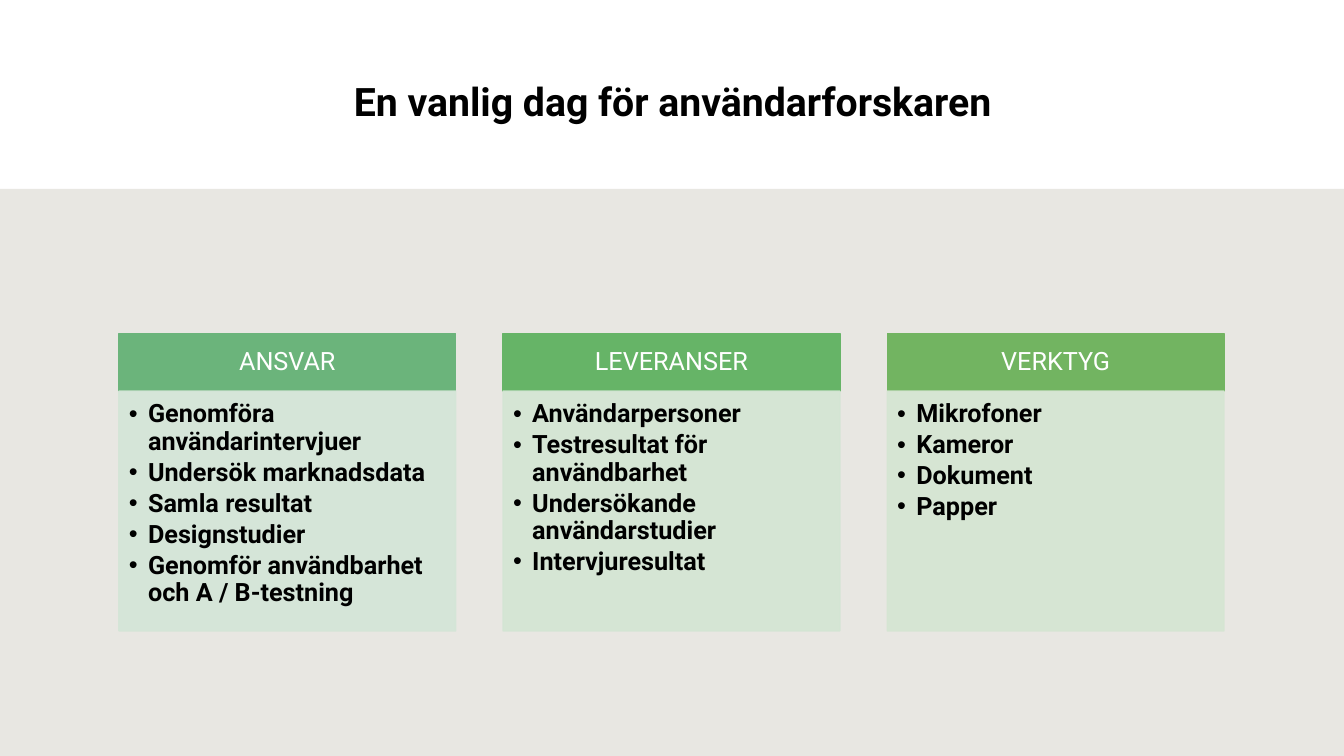
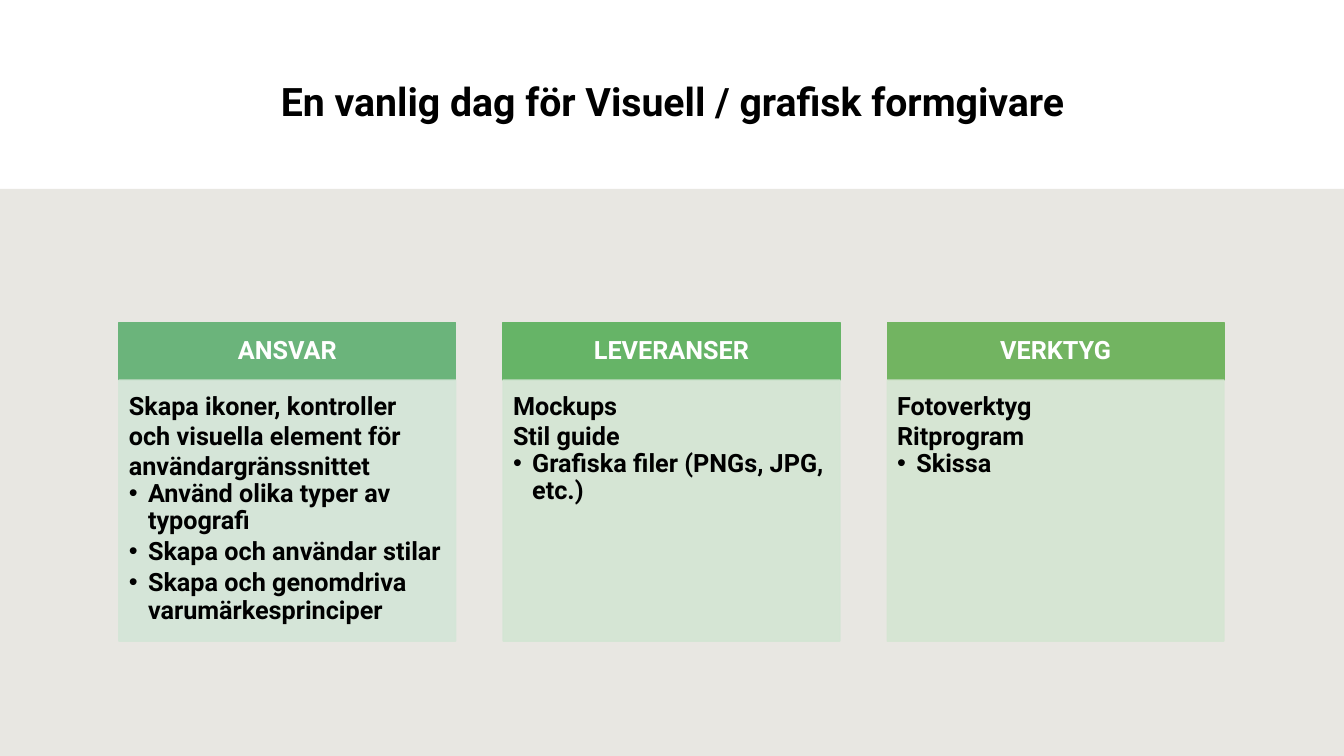
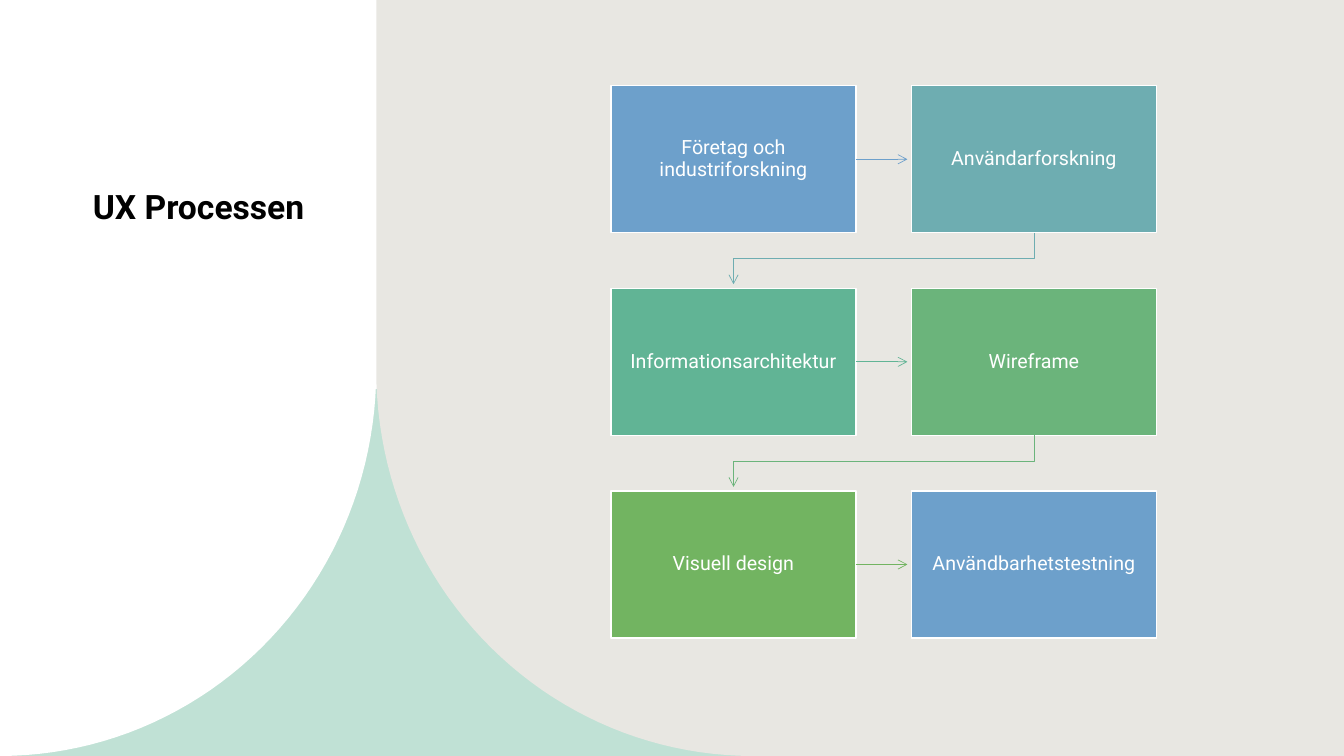
"""Build three slides on everyday UX roles and the UX process."""
import dataclasses
import math

import lxml.etree
import pptx
import pptx.dml.color
import pptx.enum.shapes
import pptx.enum.text
import pptx.oxml.ns
import pptx.util

Inches = pptx.util.Inches
Pt = pptx.util.Pt
Align = pptx.enum.text.PP_ALIGN
Anchor = pptx.enum.text.MSO_ANCHOR
Shape = pptx.enum.shapes.MSO_SHAPE
Link = pptx.enum.shapes.MSO_CONNECTOR


@dataclasses.dataclass(frozen=True)
class Theme:
    """Colours, sizes and fonts shared by the slides."""

    font: str = "Roboto"
    width: float = 13.33
    height: float = 7.5
    ink: str = "000000"
    paper: str = "FFFFFF"
    sand: str = "E8E7E2"
    mint: str = "C0E1D5"
    heads: tuple = ("6BB47B", "66B467", "72B461")
    bodies: tuple = ("D4E5D7", "D3E5D3", "D5E5D2")
    steps: tuple = ("6DA0CB", "6EADB1", "61B495", "6BB47B", "72B461", "6DA0CB")
    title: int = 28
    side_title: int = 24
    card: int = 18
    step: int = 14


@dataclasses.dataclass(frozen=True)
class Grid:
    """Equal cells at a regular pitch, in inches."""

    left: float
    top: float
    width: float
    height: float
    column_pitch: float
    row_pitch: float = 0

    def cell(self, column, row=0):
        """Return left, top, width and height of one cell."""
        return (self.left + column * self.column_pitch,
                self.top + row * self.row_pitch, self.width, self.height)


THEME = Theme()
FLOW = Grid(6.06, 0.85, 2.43, 1.46, 2.98, 2.01)
HEAD_HEIGHT = 0.57
ARROW_GAP = 0.04
BAND_TOP = THEME.height / 4
CURVE_WIDTH = THEME.width * 0.28
CURVE_TOP = THEME.height * 0.49


def colour(value):
    """Turn a hex text into a colour."""
    return pptx.dml.color.RGBColor.from_string(value)


def assign(target, values):
    """Set each named value on an object."""
    for name, value in values.items():
        setattr(target, name, value)


def add_xml(parent, tag, **attributes):
    """Append a drawing element to a parent."""
    return lxml.etree.SubElement(parent, pptx.oxml.ns.qn(tag), attributes)


def paint(shape, fill, line=None, alpha=None):
    """Give a shape a flat fill and an optional outline."""
    shape.shadow.inherit = False
    shape.fill.solid()
    shape.fill.fore_color.rgb = colour(fill)
    if line:
        assign(shape.line, {"width": Pt(1)})
        shape.line.color.rgb = colour(line)
    else:
        shape.line.fill.background()
    if alpha:
        for tone in shape._element.spPr.iter(pptx.oxml.ns.qn("a:srgbClr")):
            add_xml(tone, "a:alpha", val=str(alpha * 1000))


def add_box(page, area, fill, line=None, alpha=None):
    """Add a painted rectangle."""
    box = page.shapes.add_shape(Shape.RECTANGLE, *map(Inches, area))
    paint(box, fill, line, alpha)
    return box


def set_frame(shape, anchor, insets):
    """Set wrapping, anchor and insets, and return the text frame."""
    names = ("margin_left", "margin_top", "margin_right", "margin_bottom")
    frame = shape.text_frame
    assign(frame, {"word_wrap": True, "vertical_anchor": anchor,
                   "auto_size": pptx.enum.text.MSO_AUTO_SIZE.NONE,
                   **dict(zip(names, map(Inches, insets)))})
    return frame


def write(para, text, size, tone, bold=False, **layout):
    """Write one formatted span into a paragraph."""
    assign(para, {"space_before": Pt(0), **layout})
    span = para.add_run()
    span.text = text
    assign(span.font, {"name": THEME.font, "size": Pt(size), "bold": bold})
    span.font.color.rgb = colour(tone)


def add_bullet(para):
    """Give a paragraph a round bullet and a hanging indent."""
    properties = para._p.get_or_add_pPr()
    indent = Inches(0.19)
    properties.set("marL", str(indent))
    properties.set("indent", str(-indent))
    add_xml(properties, "a:buFont", typeface="Arial")
    add_xml(properties, "a:buChar", char="•")


def write_label(box, text, size, insets, bold=False):
    """Centre a white label in a box."""
    frame = set_frame(box, Anchor.MIDDLE, insets)
    write(frame.paragraphs[0], text, size, THEME.paper, bold,
          alignment=Align.CENTER, line_spacing=0.9)


def write_list(box, intro, points):
    """Write plain opening lines followed by bullet points."""
    frame = set_frame(box, Anchor.TOP, (0.1, 0.1, 0.14, 0.16))
    for index, text in enumerate(intro + points):
        para = frame.add_paragraph() if index else frame.paragraphs[0]
        bulleted = index >= len(intro)
        if bulleted:
            add_bullet(para)
        write(para, text, THEME.card, THEME.ink, True, alignment=Align.LEFT,
              line_spacing=0.9 if bulleted else 1.0,
              space_after=Pt(2.7 if bulleted else 0))


def add_title(page, text, area, size, alignment, anchor):
    """Format the title placeholder and bring it in front of the panels."""
    title = page.shapes.title
    title.element.getparent().append(title.element)
    assign(title, dict(zip(("left", "top", "width", "height"), map(Inches, area))))
    frame = set_frame(title, anchor, (0.1, 0.05, 0.1, 0.05))
    write(frame.paragraphs[0], text, size, THEME.ink, True,
          alignment=alignment, line_spacing=1.1)


def add_page(deck):
    """Add a title-only slide."""
    return deck.slides.add_slide(deck.slide_layouts[5])


def add_card_page(deck, title, cards, top, body_height, bold_heads):
    """Add a slide with a title above a band holding three cards."""
    page = add_page(deck)
    add_box(page, (0, BAND_TOP, THEME.width, THEME.height - BAND_TOP), THEME.sand)
    add_title(page, title, (1.18, 0.49, 10.98, 0.97), THEME.title,
              Align.CENTER, Anchor.MIDDLE)
    heads = Grid(1.18, top, 3.34, HEAD_HEIGHT, 3.81)
    bodies = dataclasses.replace(heads, top=top + HEAD_HEIGHT, height=body_height)
    for column, (head, intro, points) in enumerate(cards):
        tone, tint = THEME.heads[column], THEME.bodies[column]
        box = add_box(page, heads.cell(column), tone, tone)
        write_label(box, head, THEME.card, (0.14, 0.08, 0.14, 0.08), bold_heads)
        box = add_box(page, bodies.cell(column), tint, tint, 90)
        write_list(box, intro, points)


def add_curved_panel(page, outer, centre, fill):
    """Add a full-height panel whose lower inner corner is a quarter ellipse."""
    reach = CURVE_WIDTH - centre
    drop = THEME.height - CURVE_TOP
    angles = [math.radians(degree) for degree in range(0, 91, 2)]
    arc = [(centre + reach * math.cos(angle), CURVE_TOP + drop * math.sin(angle))
           for angle in angles]
    points = [(CURVE_WIDTH, 0), *arc, (outer, THEME.height)]
    builder = page.shapes.build_freeform(Inches(outer), 0)
    builder.add_line_segments([tuple(map(Inches, point)) for point in points])
    paint(builder.convert_to_shape(), fill)


def add_arrow(page, kind, start, end, tone):
    """Add a thin connector with an open arrowhead."""
    arrow = page.shapes.add_connector(kind, *map(Inches, (*start, *end)))
    arrow.line.width = Pt(0.5)
    arrow.line.color.rgb = colour(tone)
    properties = arrow._element.spPr
    add_xml(properties.find(pptx.oxml.ns.qn("a:ln")), "a:tailEnd", type="arrow")
    add_xml(properties, "a:effectLst")
    return arrow


def add_row_arrow(page, row, tone):
    """Point from the first step of a row to the second."""
    left, top, width, height = FLOW.cell(0, row)
    middle = top + height / 2
    end = FLOW.cell(1, row)[0] - ARROW_GAP
    add_arrow(page, Link.STRAIGHT, (left + width, middle), (end, middle), tone)


def add_return_arrow(page, row, tone):
    """Point from the end of a row down to the start of the next."""
    top = FLOW.cell(1, row)[1] + FLOW.height
    drop = FLOW.row_pitch - FLOW.height - ARROW_GAP
    across = FLOW.column_pitch
    x = FLOW.left + (FLOW.width + across) / 2
    y = top + drop / 2
    arrow = add_arrow(page, Link.ELBOW, (x - drop / 2, y - across / 2),
                      (x + drop / 2, y + across / 2), tone)
    arrow._element.spPr.find(pptx.oxml.ns.qn("a:xfrm")).set("rot", str(90 * 60000))


def add_process_page(deck, title, steps):
    """Add a slide with a side title and a winding flow of steps."""
    page = add_page(deck)
    add_box(page, (0, 3.86, 7.37, THEME.height - 3.86), THEME.mint)
    add_curved_panel(page, 0, 0, THEME.paper)
    add_curved_panel(page, THEME.width, 2 * CURVE_WIDTH, THEME.sand)
    add_title(page, title, (0.82, 1.75, 2.63, 2.73), THEME.side_title,
              Align.LEFT, Anchor.TOP)
    for index, (text, tone) in enumerate(zip(steps, THEME.steps)):
        row, column = divmod(index, 2)
        box = add_box(page, FLOW.cell(column, row), tone, THEME.paper)
        write_label(box, text, THEME.step, (0.12,) * 4)
        if column == 0:
            add_row_arrow(page, row, tone)
        elif index < len(steps) - 1:
            add_return_arrow(page, row, tone)


def main():
    """Build and save the deck."""
    deck = pptx.Presentation()
    assign(deck, {"slide_width": Inches(THEME.width),
                  "slide_height": Inches(THEME.height)})
    add_card_page(deck, "En vanlig dag för användarforskaren", [
        ("ANSVAR", [], ["Genomföra användarintervjuer", "Undersök marknadsdata",
                        "Samla resultat", "Designstudier",
                        "Genomför användbarhet och A / B-testning"]),
        ("LEVERANSER", [], ["Användarpersoner", "Testresultat för användbarhet",
                            "Undersökande användarstudier", "Intervjuresultat"]),
        ("VERKTYG", [], ["Mikrofoner", "Kameror", "Dokument", "Papper"]),
    ], top=3.31, body_height=2.38, bold_heads=False)
    add_card_page(deck, "En vanlig dag för Visuell / grafisk formgivare", [
        ("ANSVAR",
         ["Skapa ikoner, kontroller och visuella element för användargränssnittet"],
         ["Använd olika typer av typografi", "Skapa och användar stilar",
          "Skapa och genomdriva varumärkesprinciper"]),
        ("LEVERANSER", ["Mockups", "Stil guide"],
         ["Grafiska filer (PNGs, JPG, etc.)"]),
        ("VERKTYG", ["Fotoverktyg", "Ritprogram"], ["Skissa"]),
    ], top=3.2, body_height=2.59, bold_heads=True)
    add_process_page(deck, "UX Processen", [
        "Företag och industriforskning", "Användarforskning",
        "Informationsarchitektur", "Wireframe",
        "Visuell design", "Användbarhetstestning"])
    deck.save("out.pptx")


if __name__ == "__main__":
    main()
